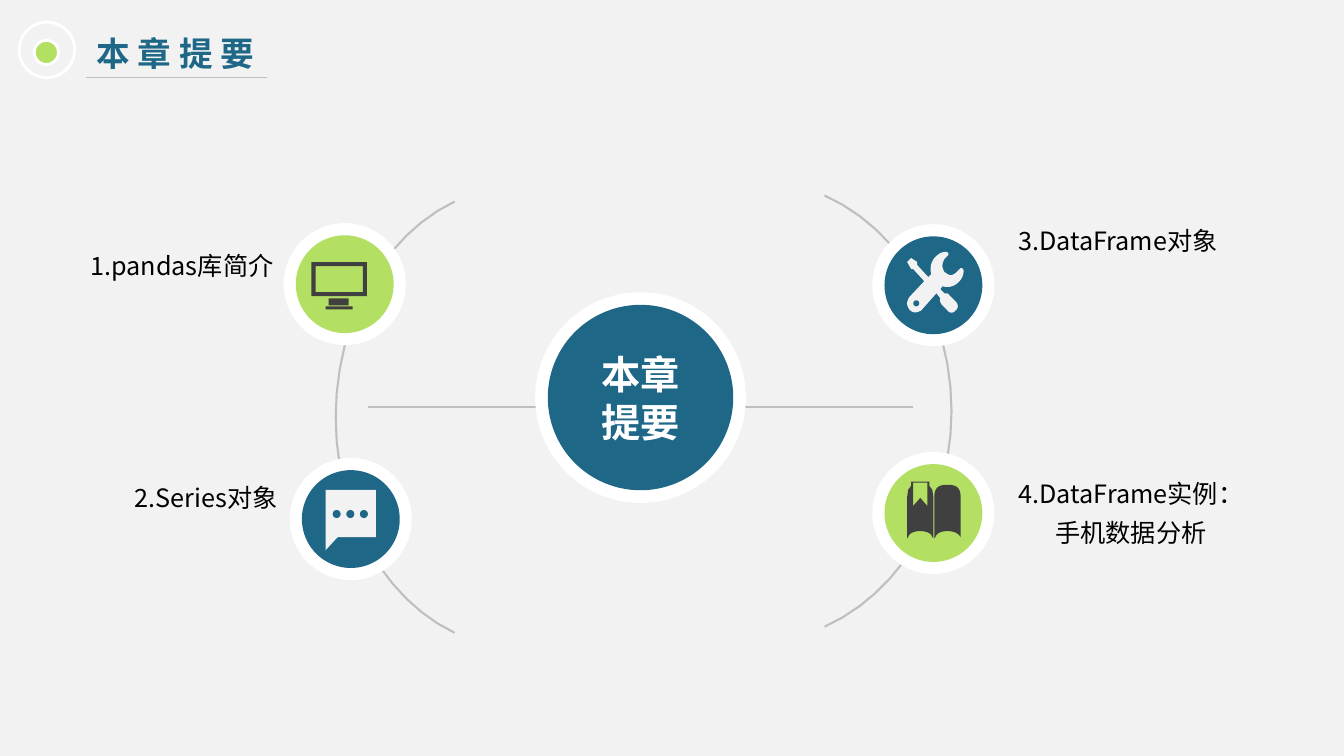
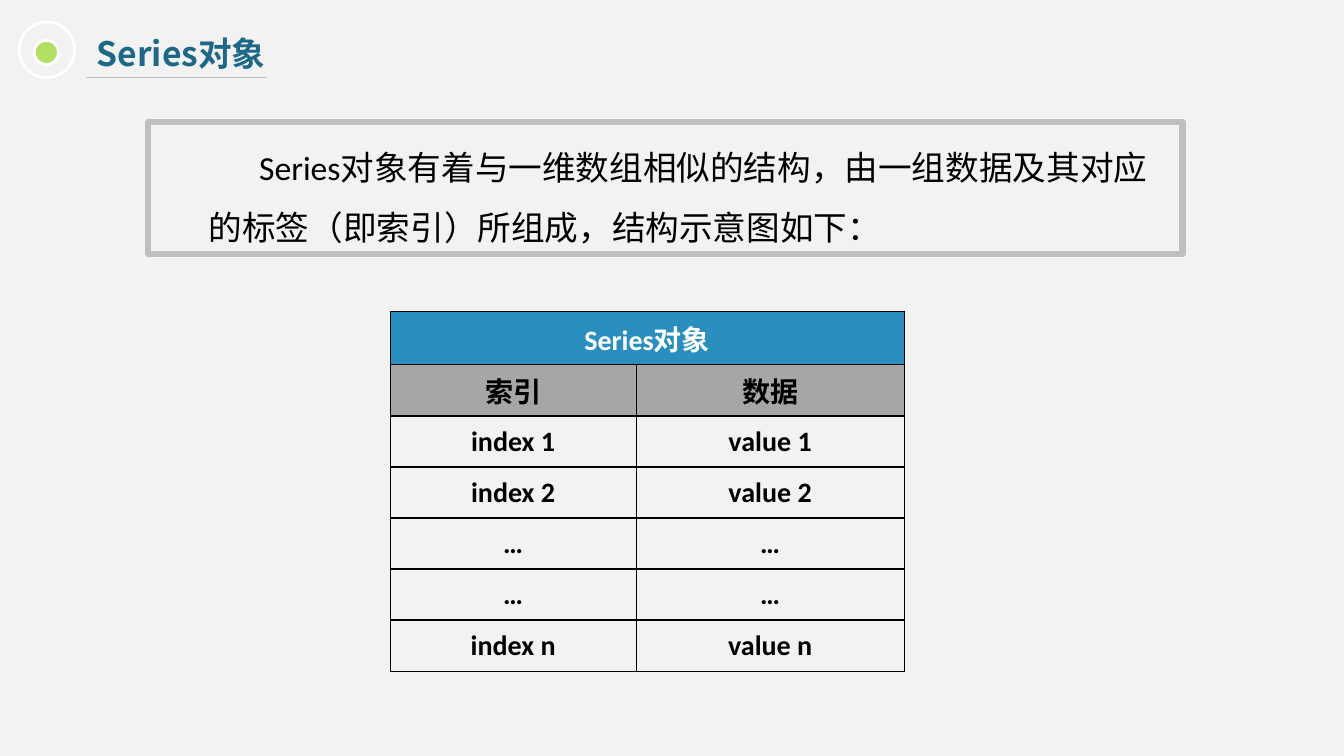
from lxml.etree import SubElement
from pptx import Presentation
from pptx.dml.color import RGBColor
from pptx.enum.shapes import MSO_CONNECTOR, MSO_SHAPE
from pptx.enum.text import MSO_ANCHOR, MSO_AUTO_SIZE, PP_ALIGN
from pptx.oxml.ns import qn
from pptx.util import Emu, Inches, Pt

WIDTH, HEIGHT = Inches(13.33), Inches(7.5)
UNIT = WIDTH / 100      # grid step: one hundredth of the slide's width
ICON_CELL = 0.075       # icon grid step, in units

PAPER = RGBColor(0xF2, 0xF2, 0xF2)
WHITE = RGBColor(0xFF, 0xFF, 0xFF)
BLACK = RGBColor(0x00, 0x00, 0x00)
NAVY = RGBColor(0x1E, 0x67, 0x87)
LIME = RGBColor(0xB3, 0xDF, 0x63)
SILVER = RGBColor(0xBF, 0xBF, 0xBF)
CHARCOAL = RGBColor(0x40, 0x40, 0x40)
HEADER_BLUE = RGBColor(0x2A, 0x8F, 0xBF)
SUBHEADER_GREY = RGBColor(0xA6, 0xA6, 0xA6)

CJK_FONT = "Noto Sans CJK SC"
LATIN_FONT = "Calibri"


def grid(*steps):
    return [Emu(round(step * UNIT)) for step in steps]


# Text
def write(paragraph, text, size, color, bold=False, font=CJK_FONT,
          align=PP_ALIGN.CENTER, leading=None):
    paragraph.alignment = align
    paragraph.space_before = Pt(0)
    if leading:
        paragraph.line_spacing = Pt(leading)
    run = paragraph.add_run()
    run.text = text
    run.font.name, run.font.size, run.font.bold = font, Pt(size), bold
    run.font.color.rgb = color
    SubElement(run.font._element, qn("a:ea")).set("typeface", CJK_FONT)


def place(shape, left, top, width, height):
    shape.left, shape.top, shape.width, shape.height = grid(left, top, width, height)


def fixed_frame(shape, anchor=MSO_ANCHOR.TOP):
    frame = shape.text_frame
    frame.word_wrap = True
    frame.auto_size = MSO_AUTO_SIZE.NONE
    frame.vertical_anchor = anchor
    return frame


def add_label(slide, text, left, top, width, height=3.45):
    frame = fixed_frame(slide.shapes.add_textbox(*grid(left, top, width, height)))
    write(frame.paragraphs[0], text, 18, BLACK, leading=28)


# Shapes and lines
def paint(shape, fill=None, line=None, weight=1.5):
    shape.shadow.inherit = False
    if fill is None:
        shape.fill.background()
    else:
        shape.fill.solid()
        shape.fill.fore_color.rgb = fill
    if line is None:
        shape.line.fill.background()
    else:
        shape.line.color.rgb = line
        shape.line.width = Pt(weight)
    return shape


def add_block(slide, preset, left, top, width, height, fill):
    return paint(slide.shapes.add_shape(preset, *grid(left, top, width, height)), fill)


def add_disc(slide, center, diameter, fill=None, line=None, weight=2):
    left, top = (c - diameter / 2 for c in center)
    disc = slide.shapes.add_shape(MSO_SHAPE.OVAL, *grid(left, top, diameter, diameter))
    return paint(disc, fill, line, weight)


def add_rule(slide, start_x, end_x, y, weight):
    rule = slide.shapes.add_connector(MSO_CONNECTOR.STRAIGHT, *grid(start_x, y, end_x, y))
    rule.line.color.rgb = SILVER
    rule.line.width = Pt(weight)
    SubElement(rule._element.spPr, qn("a:effectLst"))


def trace(contour, steps=12):
    """Turn points and (control, control, end) sextuples into a polyline."""
    points = [contour[0]]
    for step in contour[1:]:
        if len(step) == 2:
            points.append(step)
            continue
        corners = [points[-1], step[:2], step[2:4], step[4:]]
        for i in range(1, steps + 1):
            t = i / steps
            weights = ((1 - t) ** 3, 3 * t * (1 - t) ** 2, 3 * t * t * (1 - t), t ** 3)
            points.append(tuple(sum(w * c[axis] for w, c in zip(weights, corners))
                                for axis in (0, 1)))
    return points


def add_outline(slide, contours, origin=(0, 0), cell=1, fill=None, line=None):
    builder = None
    for contour in contours:
        points = [grid(origin[0] + x * cell, origin[1] + y * cell)
                  for x, y in trace(contour)]
        if builder is None:
            builder = slide.shapes.build_freeform(*points[0], scale=1.0)
        else:
            builder.move_to(*points[0])
        builder.add_line_segments(points[1:], close=fill is not None)
    return paint(builder.convert_to_shape(), fill, line)


def add_arc(slide, tip_x, side_x, middle_y):
    shoulder_x = tip_x + 0.585 * (side_x - tip_x)
    add_outline(slide, [[
        (tip_x, middle_y + 16.05),
        (shoulder_x, middle_y + 13.58, side_x, middle_y + 7.3, side_x, middle_y),
        (side_x, middle_y - 7.3, shoulder_x, middle_y - 13.58, tip_x, middle_y - 16.05),
    ]], line=SILVER)


# Icons, drawn in icon cells around the centre of a badge
def add_icon_part(slide, center, preset, left, top, width, height, fill):
    return add_block(slide, preset, center[0] + left * ICON_CELL,
                     center[1] + top * ICON_CELL,
                     width * ICON_CELL, height * ICON_CELL, fill)


def draw_monitor(slide, center):
    screen = add_icon_part(slide, center, MSO_SHAPE.FRAME, -33, -22, 55, 34, CHARCOAL)
    screen.adjustments[0] = 0.12
    for stand in ((-16, 14, 20, 7), (-19, 22, 27, 3)):
        add_icon_part(slide, center, MSO_SHAPE.RECTANGLE, *stand, CHARCOAL)


def draw_chat(slide, center):
    bubble = [(-25, 31), (-13, 18), (25, 18), (25, -29), (-25, -29)]
    add_outline(slide, [bubble], center, ICON_CELL, PAPER)
    for dot in (-1, 0, 1):
        add_icon_part(slide, center, MSO_SHAPE.OVAL, dot * 13.5 - 4.5, -9, 8, 8, NAVY)


def draw_book(slide, center):
    left_page = [(-25, 24), (-24, 20, -19, 18, -13, 18), (-7, 18, -2, 20, -1, 24),
                 (0, 25), (0, -16), (-1, -23), (-4, -27), (-4, -31), (-22, -31),
                 (-22, -27), (-25, -23), (-26, -16), (-26, 25)]
    bookmark = [(-20, -30), (-6, -30), (-6, -7), (-13, -15), (-20, -7)]
    right_page = [(2, 24), (3, 20, 8, 18, 14, 18), (20, 18, 25, 20, 27, 24),
                  (27, -16), (27, -24, 24, -28, 14, -28),
                  (4, -28, 1, -24, 1, -16), (1, 25)]
    for contours in ([left_page, bookmark], [right_page]):
        add_outline(slide, contours, center, ICON_CELL, CHARCOAL)


def draw_tools(slide, center):
    tools = [
        (-26, 18), (-26, 23, -22, 27, -18, 27), (-16, 27, -14, 26, -12, 25),
        (3, 8), (7, 13), (6, 15, 7, 17, 8, 19), (14, 25), (16, 28, 20, 28, 22, 25),
        (25, 23, 25, 19, 22, 16), (16, 10), (15, 8, 13, 8, 11, 8), (7, 4), (9, 1),
        (15, 3, 21, 1, 25, -3), (28, -6, 30, -10, 30, -14),
        (30, -16, 29, -17, 27, -17), (23, -13), (21, -11, 19, -10, 17, -10),
        (15, -10, 13, -12, 11, -13), (10, -15, 9, -17, 9, -19),
        (9, -22, 10, -24, 11, -26), (14, -29), (14, -29, 15, -30, 15, -31),
        (15, -32, 14, -33, 12, -33), (8, -33, 5, -31, 2, -28),
        (-2, -24, -4, -17, -2, -11), (-5, -8), (-16, -20), (-16, -23), (-22, -27),
        (-26, -23), (-22, -16), (-20, -16), (-9, -4), (-24, 12),
        (-25, 14, -26, 16, -26, 18)]
    add_outline(slide, [tools], center, ICON_CELL, PAPER)
    add_icon_part(slide, center, MSO_SHAPE.OVAL, -20, 15, 6, 6, NAVY)


def add_badge(slide, center, color, draw_icon):
    add_disc(slide, center, 8.85, WHITE, WHITE, 2.25)
    add_disc(slide, center, 7.28, color)
    draw_icon(slide, center)


# Table
def set_cell(cell, text, color, fill):
    cell.margin_left = cell.margin_right = Inches(0.07)
    cell.margin_top = cell.margin_bottom = 0
    cell.vertical_anchor = MSO_ANCHOR.MIDDLE
    properties = cell._tc.get_or_add_tcPr()
    for side in ("lnL", "lnR", "lnT", "lnB"):
        border = SubElement(properties, qn(f"a:{side}"), w=str(Pt(1)))
        ink = SubElement(border, qn("a:solidFill"))
        SubElement(ink, qn("a:srgbClr"), val=str(BLACK))
    if fill is None:
        cell.fill.background()
    else:
        cell.fill.solid()
        cell.fill.fore_color.rgb = fill
    if text:
        write(cell.text_frame.paragraphs[0], text, 20, color, True, LATIN_FONT)


def add_series_table(slide, rows, left, top, columns, header_height, row_height):
    heights = [header_height] + [row_height] * (len(rows) - 1)
    table = slide.shapes.add_table(
        len(rows), len(columns), *grid(left, top, sum(columns), sum(heights))).table
    table.first_row = table.horz_banding = False
    for column, width in zip(table.columns, grid(*columns)):
        column.width = width
    for row, height in zip(table.rows, grid(*heights)):
        row.height = height
    table.cell(0, 0).merge(table.cell(0, len(columns) - 1))
    styles = {0: (WHITE, HEADER_BLUE), 1: (BLACK, SUBHEADER_GREY)}
    for r, texts in enumerate(rows):
        for c, text in enumerate(texts):
            set_cell(table.cell(r, c), text, *styles.get(r, (BLACK, None)))


# Slides
def new_slide(deck, layout, title):
    slide = deck.slides.add_slide(deck.slide_layouts[layout])
    heading = slide.shapes.title
    place(heading, 6.45, 2.03, 19.65, 3.75)
    write(fixed_frame(heading).paragraphs[0], title, 24, NAVY, True,
          align=PP_ALIGN.LEFT, leading=29)
    add_disc(slide, (3.45, 3.9), 1.8, LIME, WHITE)
    add_disc(slide, (3.49, 3.71), 4.13, line=WHITE)
    add_rule(slide, 6.38, 19.88, 5.78, 0.75)
    return slide


def build_summary(deck):
    slide = new_slide(deck, 5, "本 章 提 要")
    add_arc(slide, 33.83, 24.98, 31.05)
    add_arc(slide, 61.35, 70.8, 30.6)
    add_rule(slide, 27.38, 67.95, 30.3, 1.5)

    # Hub
    hub = (47.66, 29.59)
    add_disc(slide, hub, 15.68, WHITE)
    frame = fixed_frame(add_disc(slide, hub, 13.8, NAVY), MSO_ANCHOR.MIDDLE)
    write(frame.paragraphs[0], "本章", 28, WHITE, True, leading=34)
    write(frame.add_paragraph(), "提要", 28, WHITE, True, leading=34)

    # Topics
    add_badge(slide, (25.65, 21.15), LIME, draw_monitor)
    add_badge(slide, (26.1, 38.63), NAVY, draw_chat)
    add_badge(slide, (69.45, 21.23), NAVY, draw_tools)
    add_badge(slide, (69.45, 38.18), LIME, draw_book)
    add_label(slide, "1.pandas库简介", 5.55, 17.63, 15.98)
    add_label(slide, "2.Series对象", 7.2, 34.88, 16.28)
    add_label(slide, "3.DataFrame对象", 74.4, 15.75, 17.55)
    add_label(slide, "4.DataFrame实例：手机数据分析", 74.63, 34.58, 19.05, 6.68)


def build_series(deck):
    slide = new_slide(deck, 1, "Series对象")

    # Definition
    definition = slide.placeholders[1]
    place(definition, 11.03, 9.08, 76.95, 9.83)
    definition.line.color.rgb = SILVER
    definition.line.width = Pt(4.5)
    paragraph = fixed_frame(definition).paragraphs[0]
    properties = paragraph._p.get_or_add_pPr()
    properties.set("marL", str(Inches(0.5)))
    properties.set("indent", str(Inches(0.5)))
    SubElement(properties, qn("a:buNone"))
    write(paragraph, "Series对象有着与一维数组相似的结构，由一组数据及其对应的标签（即索引）"
          "所组成，结构示意图如下：", 24, BLACK, font=LATIN_FONT,
          align=PP_ALIGN.LEFT, leading=43)

    # Structure
    rows = [("Series对象", ""), ("索引", "数据"), ("index 1", "value 1"),
            ("index 2", "value 2"), ("…", "…"), ("…", "…"), ("index n", "value n")]
    add_series_table(slide, rows, 29.03, 23.18, (18.3, 19.95), 3.98, 3.8)


def main():
    deck = Presentation()
    deck.slide_width, deck.slide_height = WIDTH, HEIGHT
    backdrop = deck.slide_master.background.fill
    backdrop.solid()
    backdrop.fore_color.rgb = PAPER
    build_summary(deck)
    build_series(deck)
    deck.save("out.pptx")


if __name__ == "__main__":
    main()
